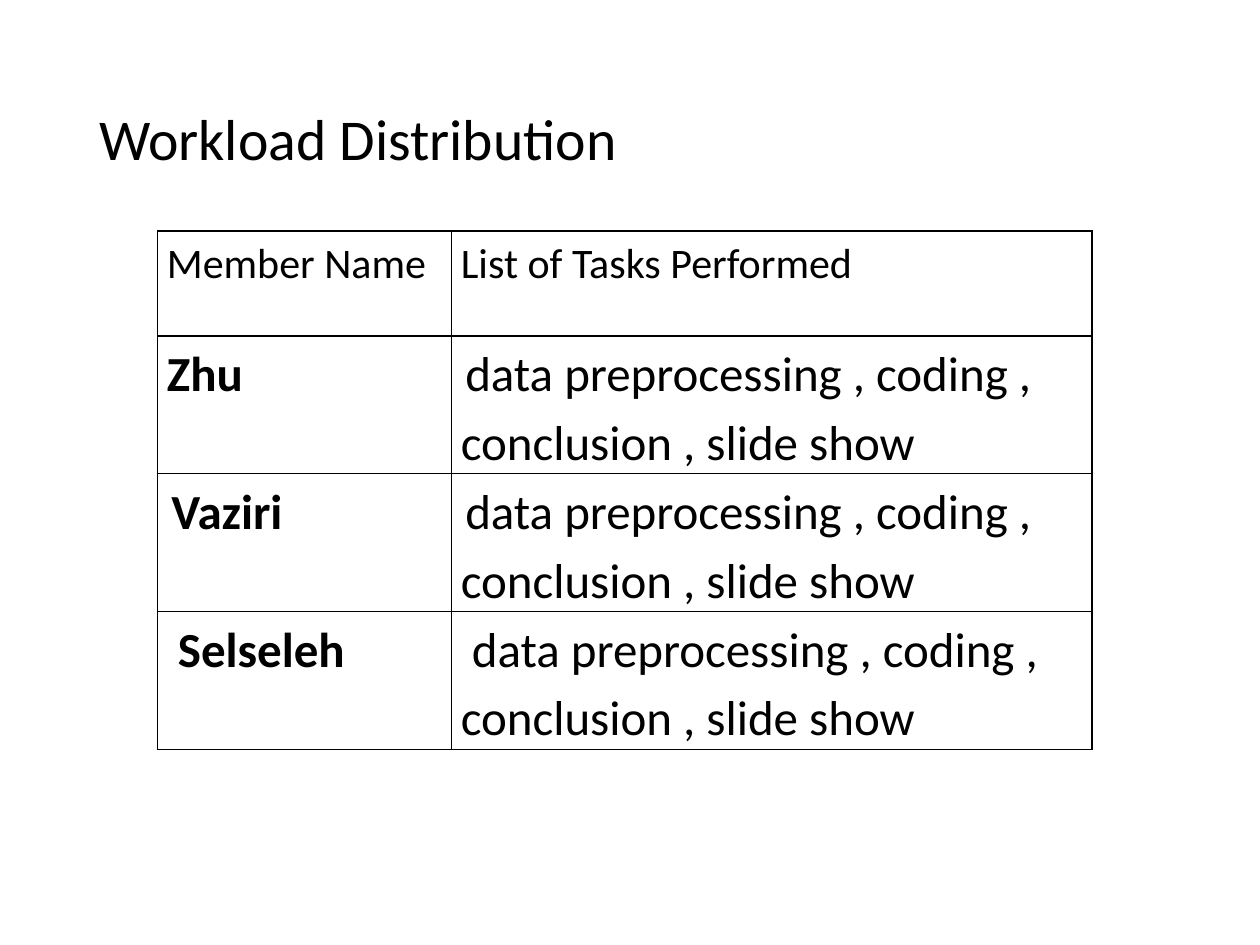
from lxml import etree
from pptx import Presentation
from pptx import util as u
from pptx.dml import color
from pptx.enum import text
from pptx.oxml import ns

COLORS = {"ink": "000000", "paper": "FFFFFF"}
NBSP = "\u00a0"
TASKS = "data preprocessing , coding , conclusion , slide show"
HEADINGS = ["Member Name", "List of Tasks Performed"]
MEMBERS = [
    ("Zhu", None, 11),
    ("Vaziri", 11, 11),
    ("Selseleh", 28, 28),
]


class WorkloadSlide:
    font = "Calibri"

    def __init__(self, deck):
        self.page = deck.slides.add_slide(deck.slide_layouts[5])
        fill = self.page.background.fill
        fill.solid()
        fill.fore_color.rgb = color.RGBColor.from_string(COLORS["paper"])

    def style(self, span, size, bold=False):
        span.font.name = self.font
        span.font.size = u.Pt(size)
        span.font.bold = bold
        span.font.color.rgb = color.RGBColor.from_string(COLORS["ink"])

    def title(self, words, left, top, width, height, size):
        box = self.page.shapes.title
        box.left, box.top = u.Pt(left), u.Pt(top)
        box.width, box.height = u.Pt(width), u.Pt(height)
        frame = box.text_frame
        frame.text = words
        frame.auto_size = text.MSO_AUTO_SIZE.NONE
        frame.vertical_anchor = text.MSO_ANCHOR.MIDDLE
        para = frame.paragraphs[0]
        para.alignment = text.PP_ALIGN.LEFT
        para.line_spacing = 0.9
        self.style(para.runs[0], size)

    def borders(self, cell):
        properties = cell._tc.get_or_add_tcPr()
        for position, side in enumerate(("lnL", "lnR", "lnT", "lnB")):
            line = etree.Element(ns.qn(f"a:{side}"), w=str(u.Pt(1)))
            fill = etree.SubElement(line, ns.qn("a:solidFill"))
            etree.SubElement(fill, ns.qn("a:srgbClr"), val=COLORS["ink"])
            properties.insert(position, line)

    def cell(self, cell, spans):
        cell.fill.background()
        self.borders(cell)
        cell.margin_left = cell.margin_right = u.Pt(5.4)
        cell.margin_top = cell.margin_bottom = u.Pt(0)
        para = cell.text_frame.paragraphs[0]
        para.line_spacing = 1.15
        para.space_before = u.Pt(10)
        for words, size, bold in spans:
            span = para.add_run()
            span.text = words
            self.style(span, size, bold)

    def table(self, rows, left, top, widths, heights):
        frame = self.page.shapes.add_table(
            len(rows), len(widths), u.Pt(left), u.Pt(top),
            u.Pt(sum(widths)), u.Pt(sum(heights)))
        table = frame.table
        table.first_row = table.horz_banding = False
        for column, width in zip(table.columns, widths):
            column.width = u.Pt(width)
        for row, height, contents in zip(table.rows, heights, rows):
            row.height = u.Pt(height)
            for cell, spans in zip(row.cells, contents):
                self.cell(cell, spans)


def entry(words, lead, bold):
    spans = [(words, 28, bold)]
    return [(NBSP, lead, bold)] + spans if lead else spans


deck = Presentation()
deck.slide_width, deck.slide_height = u.Pt(720), u.Pt(540)
slide = WorkloadSlide(deck)
slide.title("Workload Distribution", 49.5, 28.75, 621, 104.4, 33)
rows = [[[(heading, 24, False)] for heading in HEADINGS]]
rows += [[entry(name, name_lead, True), entry(TASKS, task_lead, False)]
         for name, name_lead, task_lead in MEMBERS]
slide.table(rows, 90, 132, [168, 366], [60] + [75] * len(MEMBERS))
deck.save("out.pptx")
